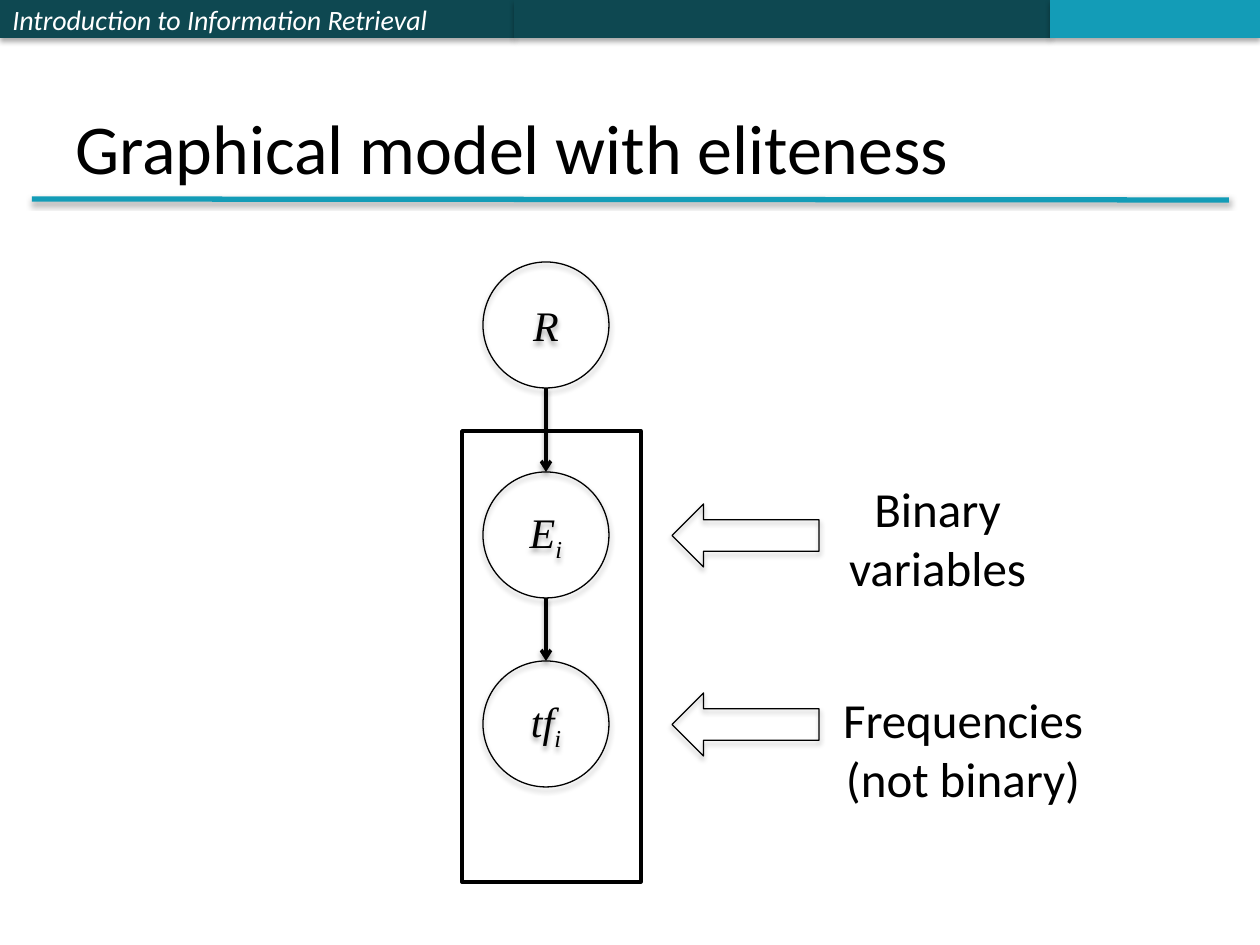
from lxml.etree import SubElement
from pptx import Presentation
from pptx.dml.color import RGBColor
from pptx.enum.shapes import MSO_CONNECTOR, MSO_SHAPE
from pptx.enum.text import MSO_ANCHOR, PP_ALIGN
from pptx.oxml.ns import qn
from pptx.util import Emu, Pt

SCALE = 914400 / 126
COLORS = {"dark": "0E4851", "teal": "139CB7", "black": "000000", "white": "FFFFFF"}
SANS, SERIF = "Calibri", "Times New Roman"


def px(*sizes):
    return [Emu(round(n * SCALE)) for n in sizes]


def color(name):
    return RGBColor.from_string(COLORS[name])


class Deck:
    def __init__(self, wide, high):
        self.file = Presentation()
        self.file.slide_width, self.file.slide_height = px(wide, high)
        self.slide = self.file.slides.add_slide(self.file.slide_layouts[6])

    def shade(self, holder, alpha, dist):
        shadow = SubElement(holder, qn("a:outerShdw"), blurRad=str(Pt(3.1)),
                            dist=str(Pt(dist)), dir="5400000", rotWithShape="0")
        tint = SubElement(shadow, qn("a:srgbClr"), val=COLORS["black"])
        SubElement(tint, qn("a:alpha"), val=str(alpha * 1000))

    def shape(self, kind, box, fill=None, line=None, shadow=True):
        item = self.slide.shapes.add_shape(kind, *px(*box))
        if fill:
            item.fill.solid()
            item.fill.fore_color.rgb = color(fill)
        else:
            item.fill.background()
        if line:
            item.line.color.rgb = color("black")
            item.line.width = Pt(line)
        else:
            item.line.fill.background()
        item.shadow.inherit = False
        if shadow:
            self.shade(item._element.spPr.find(qn("a:effectLst")), 35, 1.8)
        return item

    def line(self, start, end, tint, width, arrow=False):
        item = self.slide.shapes.add_connector(MSO_CONNECTOR.STRAIGHT, *px(*start, *end))
        item.line.color.rgb = color(tint)
        item.line.width = Pt(width)
        props = item._element.spPr
        if arrow:
            SubElement(props.find(qn("a:ln")), qn("a:tailEnd"), type="arrow")
        self.shade(SubElement(props, qn("a:effectLst")), 38, 1.6)

    def run(self, para, text, size, face=SANS, tint="black", italic=False, base=0):
        run = para.add_run()
        run.text = text
        run.font.size = Pt(size)
        run.font.name = face
        run.font.italic = italic
        run.font.color.rgb = color(tint)
        if base:
            run._r.get_or_add_rPr().set("baseline", str(base * 1000))

    def title(self, box, text):
        frame = self.slide.shapes.add_textbox(*px(*box)).text_frame
        frame.word_wrap = True
        frame.vertical_anchor = MSO_ANCHOR.BOTTOM
        self.run(frame.paragraphs[0], text, 40)

    def label(self, box, rows):
        frame = self.slide.shapes.add_textbox(*px(*box)).text_frame
        frame.word_wrap = False
        for i, row in enumerate(rows):
            para = frame.add_paragraph() if i else frame.paragraphs[0]
            para.alignment = PP_ALIGN.CENTER
            self.run(para, row, 28)

    def node(self, top, name, index=""):
        frame = self.shape(MSO_SHAPE.OVAL, (483, top, 126, 126), line=0.75).text_frame
        frame.vertical_anchor = MSO_ANCHOR.MIDDLE
        para = frame.paragraphs[0]
        para.alignment = PP_ALIGN.CENTER
        self.run(para, name, 24, SERIF, italic=True)
        if index:
            self.run(para, index, 24, SERIF, italic=True, base=-25)

    def header(self, text):
        left = self.shape(MSO_SHAPE.RECTANGLE, (0, 0, 514, 38), "dark")
        self.shape(MSO_SHAPE.RECTANGLE, (514, 0, 536, 38), "dark")
        self.shape(MSO_SHAPE.RECTANGLE, (1050, 0, 210, 38), "teal")
        frame = left.text_frame
        frame.vertical_anchor = MSO_ANCHOR.MIDDLE
        para = frame.paragraphs[0]
        para.alignment = PP_ALIGN.LEFT
        self.run(para, text, 16, tint="white", italic=True)


def main():
    deck = Deck(1260, 945)
    deck.header("Introduction to Information Retrieval")
    deck.line((32, 199), (1229, 200), "teal", 3)
    deck.title((63, 38, 1134, 157), "Graphical model with eliteness")

    deck.shape(MSO_SHAPE.RECTANGLE, (462, 431, 179, 451), line=2, shadow=False)
    nodes = [(262, "R", ""), (472, "E", "i"), (661, "tf", "i")]
    for node in nodes:
        deck.node(*node)
    for upper, lower in zip(nodes, nodes[1:]):
        deck.line((546, upper[0] + 126), (546, lower[0]), "black", 2, arrow=True)
        deck.shape(MSO_SHAPE.LEFT_ARROW, (672, lower[0] + 32, 147, 63), line=0.75)

    deck.label((835, 472, 205, 131), ["Binary", "variables"])
    deck.label((829, 683, 268, 131), ["Frequencies", "(not binary)"])
    deck.file.save("out.pptx")


if __name__ == "__main__":
    main()
